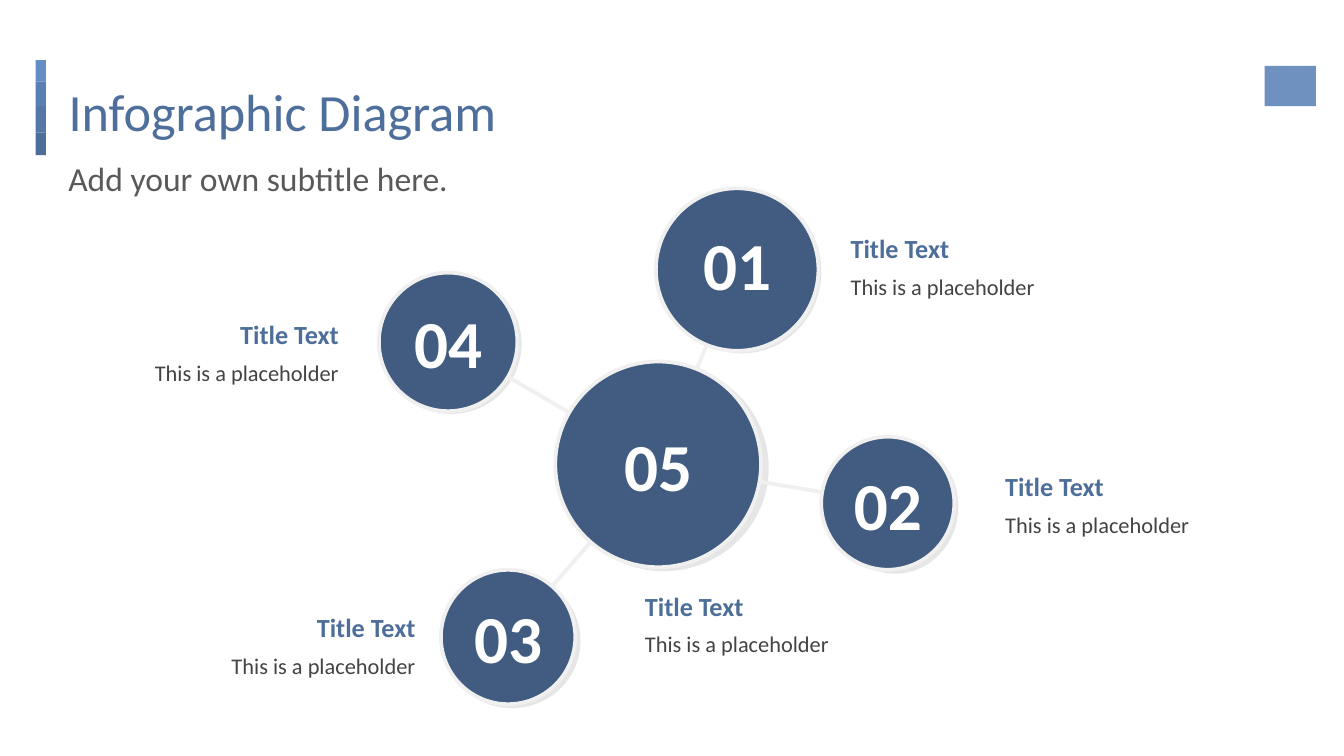
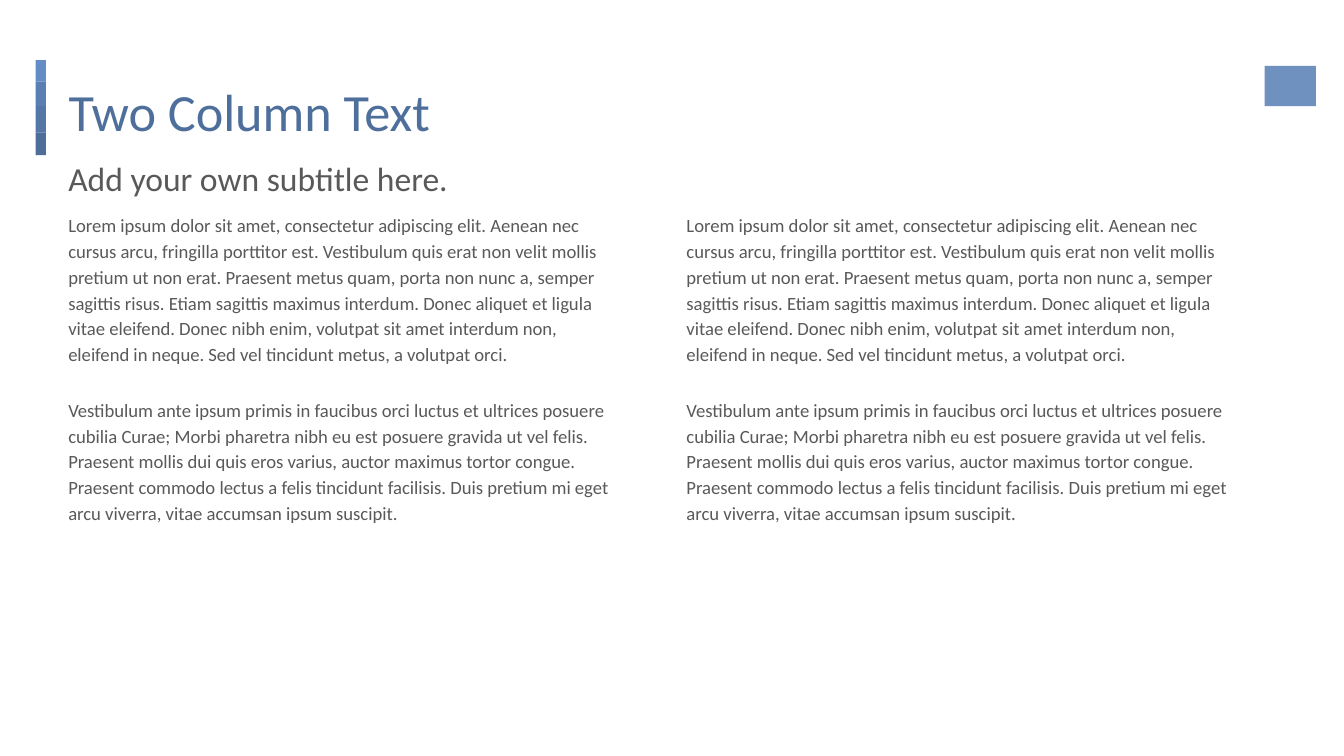
"""Build an infographic slide and a two-column text slide in one shared style."""
from collections import namedtuple

from lxml.etree import SubElement
from pptx import Presentation
from pptx.dml.color import RGBColor
from pptx.enum.shapes import MSO_CONNECTOR, MSO_SHAPE
from pptx.enum.text import MSO_ANCHOR as Anchor, MSO_AUTO_SIZE as AutoSize, PP_ALIGN as Align
from pptx.oxml.ns import qn
from pptx.util import Pt

FONT = "Calibri"
TITLE_BLUE, HEADING_BLUE, DISC_BLUE = "4E6F9B", "4E6E9A", "415C80"
EMBLEM_BLUE = "6F91C0"
GREY, DARK_GREY, PALE_GREY, WHITE = "595959", "434343", "F0F0F0", "FFFFFF"
INSET = 7.2
CONTENT_LEFT, CONTENT_WIDTH = 29.5, 666
SUBTITLE = "Add your own subtitle here."
ACCENT_BAR = [("648DC6", 11.5), ("5A7FB3", 13), ("5477A7", 14.2), (HEADING_BLUE, 12.2)]

Disc = namedtuple("Disc", "number x y diameter shadow number_y caption align")
DISCS = [
    Disc("05", 352.6, 248.8, 110.2, (299.5, 195.1, 112.3, 110.9), 248.8,
         (338.4, 308.9), Align.LEFT),
    Disc("02", 475.6, 269.6, 71.3, (445.7, 235.4, 67.7, 72), 269.6,
         (531.4, 244.8), Align.LEFT),
    Disc("01", 394.9, 144.4, 87.1, (355, 101.5, 85, 87.8), 141.5,
         (448.6, 117.4), Align.LEFT),
    Disc("04", 240.1, 183.2, 74.2, (203.8, 146.9, 75.6, 74.9), 183.2,
         (51.1, 163.4), Align.RIGHT),
    Disc("03", 272.2, 341.3, 72, (237.6, 307.4, 73.4, 72), 341.3,
         (92.2, 320.4), Align.RIGHT),
]
COLUMN_TEXT = [
    "Lorem ipsum dolor sit amet, consectetur adipiscing elit. Aenean nec cursus arcu, "
    "fringilla porttitor est. Vestibulum quis erat non velit mollis pretium ut non erat. "
    "Praesent metus quam, porta non nunc a, semper sagittis risus. Etiam sagittis maximus "
    "interdum. Donec aliquet et ligula vitae eleifend. Donec nibh enim, volutpat sit amet "
    "interdum non, eleifend in neque. Sed vel tincidunt metus, a volutpat orci.",
    "Vestibulum ante ipsum primis in faucibus orci luctus et ultrices posuere cubilia "
    "Curae; Morbi pharetra nibh eu est posuere gravida ut vel felis. Praesent mollis dui "
    "quis eros varius, auctor maximus tortor congue. Praesent commodo lectus a felis "
    "tincidunt facilisis. Duis pretium mi eget arcu viverra, vitae accumsan ipsum suscipit.",
]


def color(value):
    return RGBColor.from_string(value)


def points(*values):
    return [Pt(value) for value in values]


class Deck:
    def __init__(self):
        self.presentation = Presentation()
        self.presentation.slide_width, self.presentation.slide_height = points(720, 405)
        self.slide = None

    def add_slide(self, title):
        self.slide = self.presentation.slides.add_slide(self.presentation.slide_layouts[5])
        self.accent_bar()
        placeholder = self.slide.shapes.title
        placeholder.left, placeholder.top, placeholder.width, placeholder.height = points(
            CONTENT_LEFT, 35.3, CONTENT_WIDTH, 45.4)
        self.fill_text(placeholder.text_frame, [title], 28, TITLE_BLUE)
        self.text(CONTENT_LEFT, 74.2, CONTENT_WIDTH, 31, [SUBTITLE], 18, GREY,
                  line_spacing=1.15, gap=16)
        self.shape(MSO_SHAPE.RECTANGLE, 677.5, 35.3, 27.4, 21.6, EMBLEM_BLUE)

    def accent_bar(self):
        top = 32.3
        for fill, height in ACCENT_BAR:
            self.shape(MSO_SHAPE.RECTANGLE, 19.1, top, 5.5, height, fill)
            top += height

    def shape(self, kind, left, top, width, height, fill, outline=None, opacity=None):
        shape = self.slide.shapes.add_shape(kind, *points(left, top, width, height))
        shape.shadow.inherit = False
        shape.fill.solid()
        shape.fill.fore_color.rgb = color(fill)
        if outline:
            shape.line.color.rgb = color(outline)
            shape.line.width = Pt(2)
        else:
            shape.line.fill.background()
        if opacity:
            fill_color = shape.element.spPr.find(qn("a:solidFill")).find(qn("a:srgbClr"))
            SubElement(fill_color, qn("a:alpha")).set("val", str(opacity * 1000))

    def line(self, start, end):
        connector = self.slide.shapes.add_connector(
            MSO_CONNECTOR.STRAIGHT, *points(*start, *end))
        connector.line.color.rgb = color(PALE_GREY)
        connector.line.width = Pt(2)
        SubElement(connector.element.spPr, qn("a:effectLst"))

    def text(self, left, top, width, height, lines, size, ink, **style):
        box = self.slide.shapes.add_textbox(*points(left, top, width, height))
        self.fill_text(box.text_frame, lines, size, ink, **style)

    def fill_text(self, frame, lines, size, ink, bold=False, align=Align.LEFT,
                  anchor=Anchor.TOP, line_spacing=None, gap=0):
        frame.text = "\n".join(lines)
        frame.word_wrap = True
        frame.auto_size = AutoSize.NONE
        frame.vertical_anchor = anchor
        frame.margin_left = frame.margin_right = Pt(INSET)
        frame.margin_top = frame.margin_bottom = Pt(INSET)
        for index, paragraph in enumerate(frame.paragraphs):
            paragraph.alignment = align
            if line_spacing:
                paragraph.line_spacing = line_spacing
            if index:
                paragraph.space_before = Pt(gap)
            if gap and index == len(lines) - 1:
                paragraph.space_after = Pt(gap)
            for run in paragraph.runs:
                run.font.name = FONT
                run.font.size = Pt(size)
                run.font.bold = bold
                run.font.color.rgb = color(ink)

    def caption(self, disc):
        left, top = disc.caption
        heading_width = 137.5 if disc.align == Align.RIGHT else 128.9
        self.text(left, top + 21.6, 137.5, 27.4, ["This is a placeholder"], 12, DARK_GREY,
                  align=disc.align)
        self.text(left, top, heading_width, 27.4, ["Title Text"], 14, HEADING_BLUE,
                  bold=True, align=disc.align)

    def number(self, disc):
        width, height = 63.4, 45.4
        self.text(disc.x - width / 2, disc.number_y - height / 2, width, height,
                  [disc.number], 36, WHITE, bold=True, align=Align.CENTER,
                  anchor=Anchor.MIDDLE)


def infographic(deck):
    deck.add_slide("Infographic Diagram")
    hub, *satellites = DISCS
    for disc in DISCS:
        deck.shape(MSO_SHAPE.OVAL, *disc.shadow, GREY, opacity=15)
    for disc in satellites:
        deck.line((disc.x, disc.y), (hub.x, hub.y))
    for disc in DISCS:
        radius = disc.diameter / 2
        deck.shape(MSO_SHAPE.OVAL, disc.x - radius, disc.y - radius,
                   disc.diameter, disc.diameter, DISC_BLUE, outline=PALE_GREY)
    for disc in DISCS:
        deck.caption(disc)
        deck.number(disc)


def two_columns(deck):
    deck.add_slide("Two Column Text")
    for left in (CONTENT_LEFT, 360.7):
        deck.text(left, 105.8, 306.7, 269.3, COLUMN_TEXT, 10, GREY,
                  line_spacing=1.15, gap=16)


def main():
    deck = Deck()
    infographic(deck)
    two_columns(deck)
    deck.presentation.save("out.pptx")


if __name__ == "__main__":
    main()
